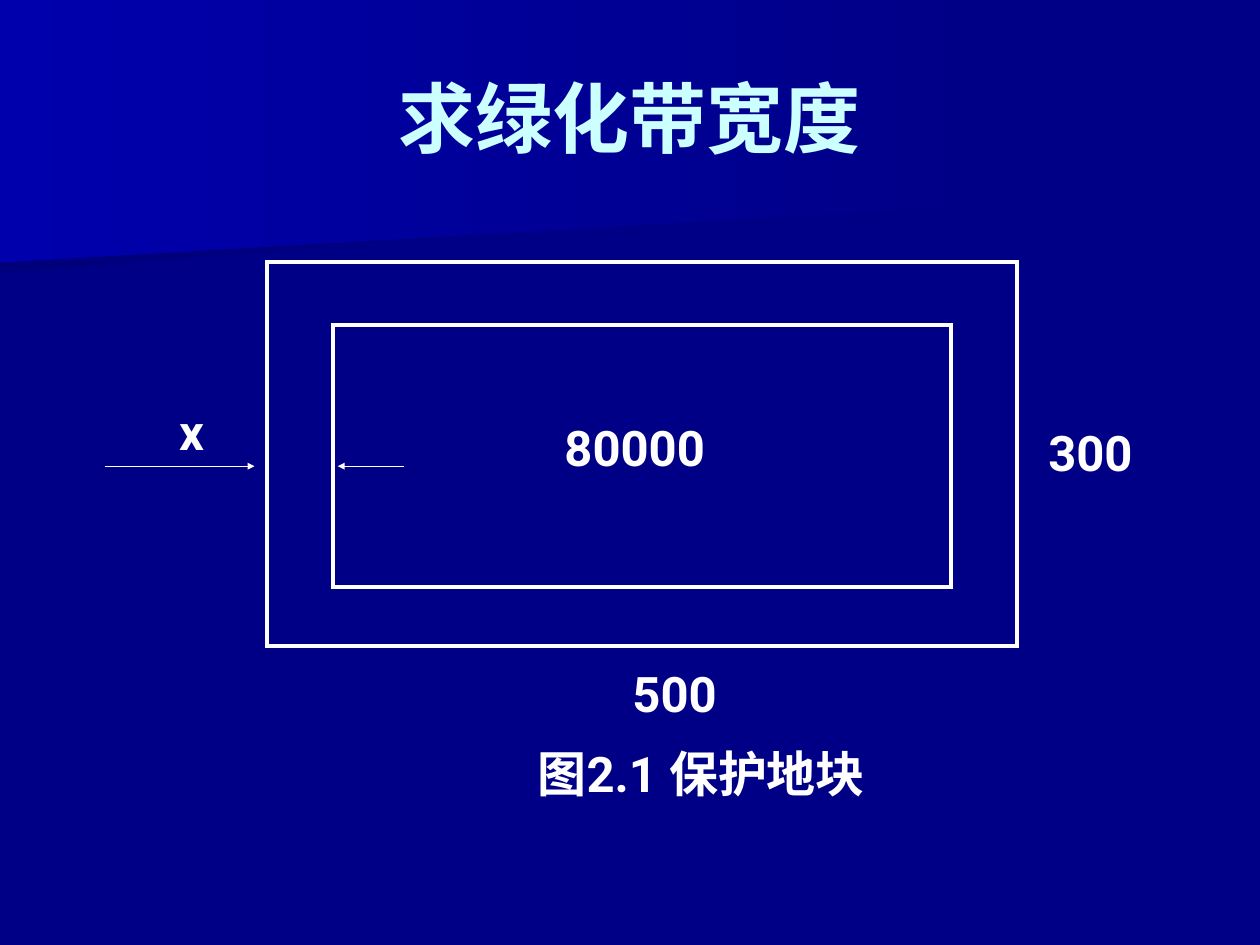
import pptx
import pptx.dml.color
import pptx.enum.shapes
import pptx.enum.text
import pptx.oxml
import pptx.oxml.ns
import pptx.util
from pptx.util import Inches

COLORS = {
    "background": "000086",
    "shade": "00007D",
    "glow": "0000AC",
    "title": "CCFFFF",
    "ink": "FFFFFF",
}
ALIGN = pptx.enum.text.PP_ALIGN
ANCHOR = pptx.enum.text.MSO_ANCHOR


def rgb(name):
    return pptx.dml.color.RGBColor.from_string(COLORS[name])


def append_xml(parent, tag):
    parent.append(pptx.oxml.parse_xml("<a:%s %s/>" % (tag, pptx.oxml.ns.nsdecls("a"))))


def write_text(frame, text, size, font_name, color, align):
    paragraph = frame.paragraphs[0]
    paragraph.alignment = align
    run = paragraph.add_run()
    run.text = text
    run.font.size = pptx.util.Pt(size)
    run.font.name = font_name
    run.font.bold = True
    run.font.color.rgb = rgb(color)


def set_title(slide, text):
    title = slide.shapes.title
    title.left, title.top = Inches(0.5), Inches(0.3)
    title.width, title.height = Inches(9), Inches(1.25)
    frame = title.text_frame
    frame.auto_size = pptx.enum.text.MSO_AUTO_SIZE.NONE
    frame.vertical_anchor = ANCHOR.MIDDLE
    write_text(frame, text, 44, "Arial", "title", ALIGN.CENTER)
    # Bring the title in front of the backdrop
    slide.shapes._spTree.append(title._element)


def add_label(slide, text, left, top, width, height, align=ALIGN.JUSTIFY, inset=0.01):
    box = slide.shapes.add_textbox(Inches(left), Inches(top), Inches(width), Inches(height))
    frame = box.text_frame
    frame.word_wrap = True
    frame.vertical_anchor = ANCHOR.TOP
    frame.margin_left = frame.margin_right = Inches(inset)
    frame.margin_top = frame.margin_bottom = 0
    write_text(frame, text, 28, "Roboto", "ink", align)


def add_band(slide, points, edge_color):
    """Backdrop polygon that fades from edge_color (left) into the background."""
    corners = [(Inches(x), Inches(y)) for x, y in points]
    builder = slide.shapes.build_freeform(*corners[0])
    builder.add_line_segments(corners[1:], close=True)
    shape = builder.convert_to_shape()
    shape.shadow.inherit = False
    shape.line.fill.background()
    shape.fill.gradient()
    shape.fill.gradient_angle = 180
    for stop, color in zip(shape.fill.gradient_stops, ("background", edge_color)):
        stop.color.rgb = rgb(color)


def add_outline(slide, left, top, width, height):
    shape = slide.shapes.add_shape(
        pptx.enum.shapes.MSO_SHAPE.RECTANGLE,
        Inches(left), Inches(top), Inches(width), Inches(height))
    shape.shadow.inherit = False
    shape.fill.background()
    shape.line.color.rgb = rgb("ink")
    shape.line.width = pptx.util.Pt(2.25)
    append_xml(shape.line._get_or_add_ln(), 'miter lim="800000"')


def add_arrow(slide, start_x, end_x, y):
    arrow = slide.shapes.add_connector(
        pptx.enum.shapes.MSO_CONNECTOR.STRAIGHT,
        Inches(start_x), Inches(y), Inches(end_x), Inches(y))
    arrow.line.color.rgb = rgb("ink")
    arrow.line.width = pptx.util.Pt(0.75)
    append_xml(arrow.line._get_or_add_ln(), 'tailEnd type="triangle" w="sm" len="sm"')
    append_xml(arrow._element.spPr, "effectLst")


def main():
    presentation = pptx.Presentation()
    presentation.slide_width, presentation.slide_height = Inches(10), Inches(7.5)
    slide = presentation.slides.add_slide(presentation.slide_layouts[5])

    # Backdrop
    slide.background.fill.solid()
    slide.background.fill.fore_color.rgb = rgb("background")
    add_band(slide, [(7.78, 1.53), (0, 2.17), (0, 1.01), (7.79, 1.01), (7.78, 1.28)], "shade")
    add_band(slide, [(7.92, 1.62), (0, 2.08), (0, 0), (7.92, 0)], "glow")

    set_title(slide, "求绿化带宽度")

    # Plot and the protected area inside it
    add_outline(slide, 2.12, 2.08, 5.95, 3.05)
    add_outline(slide, 2.64, 2.58, 4.91, 2.08)

    # Width of the green belt
    add_arrow(slide, 0.83, 2.02, 3.7)
    add_arrow(slide, 3.21, 2.68, 3.7)
    add_label(slide, "x", 1.12, 3.19, 0.8, 0.65, ALIGN.CENTER)

    # Area, side lengths and caption
    add_label(slide, "80000", 4.47, 3.31, 1.32, 0.58)
    add_label(slide, "300", 8.31, 3.35, 0.85, 0.56)
    add_label(slide, "500", 5.01, 5.27, 1.09, 0.54)
    add_label(slide, "图2.1 保护地块", 3.52, 5.9, 4.09, 0.69, ALIGN.CENTER, 0.1)

    presentation.save("out.pptx")


if __name__ == "__main__":
    main()
